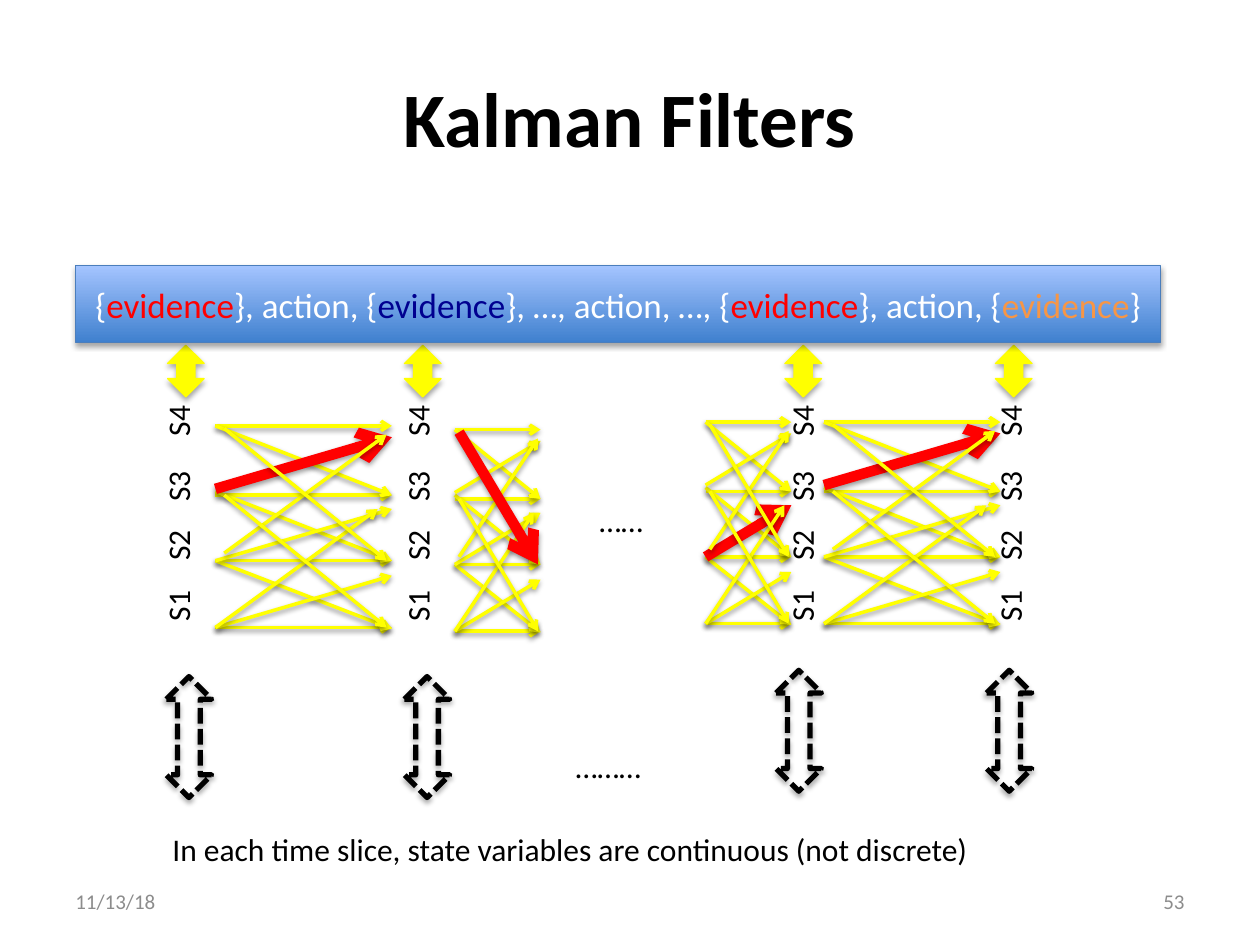
import pptx
import pptx.util
import pptx.dml.color
import pptx.enum.dml
import pptx.enum.shapes
import pptx.enum.text
import pptx.oxml
import pptx.oxml.ns
from lxml import etree

Inches = pptx.util.Inches
Pt = pptx.util.Pt
SHAPE = pptx.enum.shapes.MSO_SHAPE
ALIGN = pptx.enum.text.PP_ALIGN
ANCHOR = pptx.enum.text.MSO_ANCHOR
qn = pptx.oxml.ns.qn

COLORS = {
    "black": "000000", "white": "FFFFFF", "gray": "8C8C8C", "yellow": "FFFF00",
    "red": "FF0000", "navy": "000090", "orange": "F79646",
    "bar_low": "3F80CE", "bar_high": "A4C4FF", "bar_line": "4B7EBC",
}

# Transitions between time slices: start and end as (share of width, inches down)
TRANSITIONS = [
    (0, 0.55, 1, 0.55), (0, 1.07, 1, 1.07), (0, 1.6, 1, 1.6), (0, 0, 1, 0),
    (0, 0, 1, 0.55), (0, 0.52, 1, 1.07), (0, 1.07, 1, 1.61), (0, 1.6, 1, 1.19),
    (0, 1.07, 1, 0.66), (0, 0.5, 1, 0.09), (0, 1.6, 0.92, 0.66),
    (0.05, 1.01, 0.97, 0.07), (0.05, 0.55, 0.97, 1.6), (0.05, 0.02, 0.97, 1.07),
]


def rgb(name):
    return pptx.dml.color.RGBColor.from_string(COLORS[name])


def style_run(run, size, color, bold=False):
    run.font.name = "Calibri"
    run.font.size = Pt(size)
    run.font.bold = bold
    run.font.color.rgb = rgb(color)


def add_shadow(shape, distance, opacity):
    effects = etree.SubElement(shape._element.spPr, qn("a:effectLst"))
    shadow = etree.SubElement(
        effects, qn("a:outerShdw"), blurRad=str(Pt(3.1)), dist=str(Pt(distance)),
        dir="5400000", rotWithShape="0")
    color = etree.SubElement(shadow, qn("a:srgbClr"), val=COLORS["black"])
    etree.SubElement(color, qn("a:alpha"), val=str(opacity * 1000))


def add_label(slide, box, text, size=18, color="black", align=ALIGN.LEFT,
              anchor=ANCHOR.TOP, wrap=False):
    label = slide.shapes.add_textbox(*map(Inches, box))
    frame = label.text_frame
    frame.word_wrap = wrap
    frame.vertical_anchor = anchor
    frame.text = text
    frame.paragraphs[0].alignment = align
    style_run(frame.paragraphs[0].runs[0], size, color)
    return label


def add_title(slide, box, text):
    title = slide.shapes.title
    title.left, title.top, title.width, title.height = map(Inches, box)
    title.text_frame.text = text
    title.text_frame.vertical_anchor = ANCHOR.MIDDLE
    title.text_frame.paragraphs[0].alignment = ALIGN.CENTER
    style_run(title.text_frame.paragraphs[0].runs[0], 44, "black", bold=True)


def add_states(slide, box):
    """States S1 to S4, read upwards and spaced by tab stops."""
    states = add_label(slide, box, "S1\tS2\tS3\tS4", wrap=True)
    frame = states.text_frame
    frame.margin_left = frame.margin_right = Inches(0.05)
    frame.margin_top = frame.margin_bottom = Inches(0.05)
    frame._txBody.bodyPr.set("vert", "vert270")
    tabs = etree.SubElement(frame.paragraphs[0]._p.get_or_add_pPr(), qn("a:tabLst"))
    for stop in (0.48, 0.95, 1.47):
        etree.SubElement(tabs, qn("a:tab"), pos=str(Inches(stop)), algn="l")


def add_trellis(slide, left, top, width, chosen):
    """Arrows between two time slices, with the chosen transition in red."""
    trellis = slide.shapes.add_group_shape()
    for index, (x1, y1, x2, y2) in enumerate(TRANSITIONS):
        arrow = trellis.shapes.add_connector(
            pptx.enum.shapes.MSO_CONNECTOR.STRAIGHT,
            Inches(left + x1 * width), Inches(top + y1),
            Inches(left + x2 * width), Inches(top + y2))
        arrow.line.color.rgb = rgb("red" if index == chosen else "yellow")
        arrow.line.width = Pt(6 if index == chosen else 2)
        etree.SubElement(arrow.line._get_or_add_ln(), qn("a:tailEnd"), type="arrow")
        add_shadow(arrow, 1.6, 38)


def add_double_arrow(slide, box, color, line_width, dashed=False):
    arrow = slide.shapes.add_shape(SHAPE.UP_DOWN_ARROW, *map(Inches, box))
    arrow.line.color.rgb = rgb(color)
    arrow.line.width = Pt(line_width)
    if dashed:
        arrow.fill.background()
        arrow.line.dash_style = pptx.enum.dml.MSO_LINE.SQUARE_DOT
        arrow.line._get_or_add_ln().find(qn("a:prstDash")).set("val", "sysDash")
    else:
        arrow.fill.solid()
        arrow.fill.fore_color.rgb = rgb(color)
    add_shadow(arrow, 1.8, 35)


def add_evidence_bar(slide, box):
    bar = slide.shapes.add_shape(SHAPE.RECTANGLE, *map(Inches, box))
    bar.fill.gradient()
    bar.fill.gradient_angle = 90
    for stop, color in zip(bar.fill.gradient_stops, ("bar_low", "bar_high")):
        stop.color.rgb = rgb(color)
    bar.line.color.rgb = rgb("bar_line")
    bar.line.width = Pt(0.75)
    add_shadow(bar, 1.8, 35)
    bar.text_frame.vertical_anchor = ANCHOR.MIDDLE
    sequence = bar.text_frame.paragraphs[0]
    sequence.alignment = ALIGN.CENTER
    for text, color in [
            ("{", "white"), ("evidence", "red"), ("}, action, {", "white"),
            ("evidence", "navy"), ("}, …, action, …, {", "white"),
            ("evidence", "red"), ("}, action, {", "white"),
            ("evidence", "orange"), ("}", "white")]:
        run = sequence.add_run()
        run.text = text
        style_run(run, 20, color)


def add_footer(slide, top):
    add_label(slide, (0.5, top, 2.33, 0.4), "11/13/18", 12, "gray",
              anchor=ANCHOR.MIDDLE, wrap=True)
    add_label(slide, (7.17, top, 2.33, 0.4), "53", 12, "gray", ALIGN.RIGHT,
              ANCHOR.MIDDLE, wrap=True)


def main():
    deck = pptx.Presentation()
    deck.slide_width, deck.slide_height = Inches(10), Inches(7.5)
    slide = deck.slides.add_slide(deck.slide_layouts[5])

    add_title(slide, (0.5, 0.3, 9, 1.25), "Kalman Filters")
    add_footer(slide, 6.95)

    # State columns and the transitions between them
    for left in (1.21, 3.11, 6.16, 7.81):
        add_states(slide, (left, 2.93, 0.5, 2.1))
    add_label(slide, (4.66, 3.93, 0.57, 0.4), "……")
    for left, top, width, chosen in [
            (1.71, 3.38, 1.4, 9), (6.54, 3.35, 1.4, 9),
            (3.61, 3.41, 0.68, 13), (5.6, 3.35, 0.68, 8)]:
        add_trellis(slide, left, top, width, chosen)

    # Evidence above the columns
    for left in (1.33, 3.21, 6.23, 7.9):
        add_double_arrow(slide, (left, 2.74, 0.29, 0.41), "yellow", 0.75)
    add_evidence_bar(slide, (0.6, 2.11, 8.61, 0.61))

    # Continuous variables below the columns
    for left, top in [(1.32, 5.37), (3.21, 5.37), (6.16, 5.32), (7.83, 5.32)]:
        add_double_arrow(slide, (left, top, 0.36, 0.96), "black", 3, dashed=True)
    add_label(slide, (4.47, 5.88, 0.74, 0.4), "………")
    add_label(slide, (1.27, 6.54, 6.6, 0.4),
              "In each time slice, state variables are continuous (not discrete)")

    deck.save("out.pptx")


if __name__ == "__main__":
    main()
